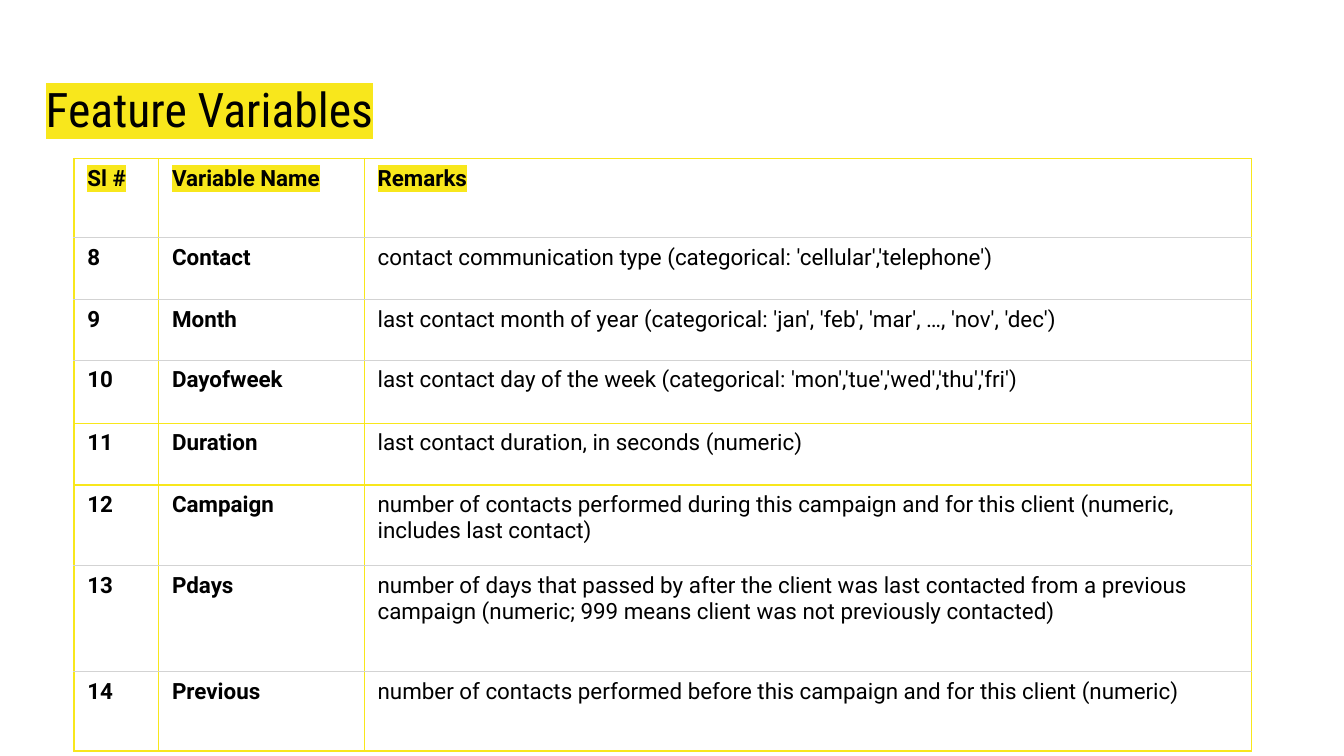
from lxml import etree
from pptx import Presentation
from pptx.dml.color import RGBColor
from pptx.enum import text
from pptx.oxml.ns import qn
from pptx.util import Inches, Pt

COLORS = {"ink": "000000", "accent": "F8E71C", "rule": "D3D3D3"}
COLUMN_WIDTHS = [0.63, 1.53, 6.6]
ROW_HEIGHTS = [0.59, 0.46, 0.45, 0.47, 0.46, 0.6, 0.79, 0.59]
YELLOW_RULES = {0, 4, 5, 8}  # horizontal rules, counted from the top
ROWS = [
    ("Sl #", "Variable Name", "Remarks"),
    ("8", "Contact", "contact communication type (categorical: 'cellular','telephone')"),
    ("9", "Month", "last contact month of year (categorical: 'jan', 'feb', 'mar', …, 'nov', 'dec')"),
    ("10", "Dayofweek", "last contact day of the week (categorical: 'mon','tue','wed','thu','fri')"),
    ("11", "Duration", "last contact duration, in seconds (numeric)"),
    ("12", "Campaign", "number of contacts performed during this campaign and for this client "
                       "(numeric, includes last contact)"),
    ("13", "Pdays", "number of days that passed by after the client was last contacted from a "
                    "previous campaign (numeric; 999 means client was not previously contacted)"),
    ("14", "Previous", "number of contacts performed before this campaign and for this client (numeric)"),
]


def add_color(parent, tag, color):
    el = etree.SubElement(parent, qn(tag))
    etree.SubElement(el, qn("a:srgbClr"), val=COLORS[color])
    return el


def format_run(r, font, size, bold=False, highlight=False):
    r.font.name, r.font.size, r.font.bold = font, Pt(size), bold
    r.font.color.rgb = RGBColor.from_string(COLORS["ink"])
    if highlight:
        rPr = r.font._element
        rPr.find(qn("a:solidFill")).addnext(add_color(rPr, "a:highlight", "accent"))


def set_borders(cell, top, bottom):
    tcPr = cell._tc.get_or_add_tcPr()
    sides = {"a:lnL": "accent", "a:lnR": "accent", "a:lnT": top, "a:lnB": bottom}
    for i, (tag, color) in enumerate(sides.items()):
        ln = etree.Element(qn(tag), w=str(Pt(0.75)))
        add_color(ln, "a:solidFill", color)
        tcPr.insert(i, ln)


def add_title(slide, left, top, width, height):
    sp = slide.shapes.add_textbox(Inches(left), Inches(top), Inches(width), Inches(height))
    tf = sp.text_frame
    tf.word_wrap = True
    tf.vertical_anchor = text.MSO_ANCHOR.MIDDLE
    tf.margin_left = tf.margin_right = 0
    tf.margin_top = tf.margin_bottom = Inches(0.1)
    tf.text = "Feature Variables"
    format_run(tf.paragraphs[0].runs[0], "Roboto Condensed", 25.5, highlight=True)


def add_variables_table(slide, left, top):
    table = slide.shapes.add_table(
        len(ROWS), len(COLUMN_WIDTHS), Inches(left), Inches(top),
        Inches(sum(COLUMN_WIDTHS)), Inches(sum(ROW_HEIGHTS))).table
    table.first_row = table.horz_banding = False
    for column, width in zip(table.columns, COLUMN_WIDTHS):
        column.width = Inches(width)
    rules = ["accent" if i in YELLOW_RULES else "rule" for i in range(len(ROWS) + 1)]
    for i, (row, height, values) in enumerate(zip(table.rows, ROW_HEIGHTS, ROWS)):
        row.height = Inches(height)
        for j, (cell, value) in enumerate(zip(row.cells, values)):
            cell.margin_left = cell.margin_right = Inches(0.1)
            cell.margin_top = cell.margin_bottom = Inches(0.05)
            cell.fill.background()
            set_borders(cell, rules[i], rules[i + 1])
            cell.text = value
            header = i == 0
            format_run(cell.text_frame.paragraphs[0].runs[0], "Roboto", 12,
                       bold=header or j < 2, highlight=header)


def main():
    prs = Presentation()
    prs.slide_width = Inches(10)
    prs.slide_height = prs.slide_width * 9 // 16  # widescreen
    slide = prs.slides.add_slide(prs.slide_layouts[6])
    add_title(slide, 0.34, 0.49, 9.32, 0.63)
    add_variables_table(slide, 0.55, 1.18)
    prs.save("out.pptx")


if __name__ == "__main__":
    main()
